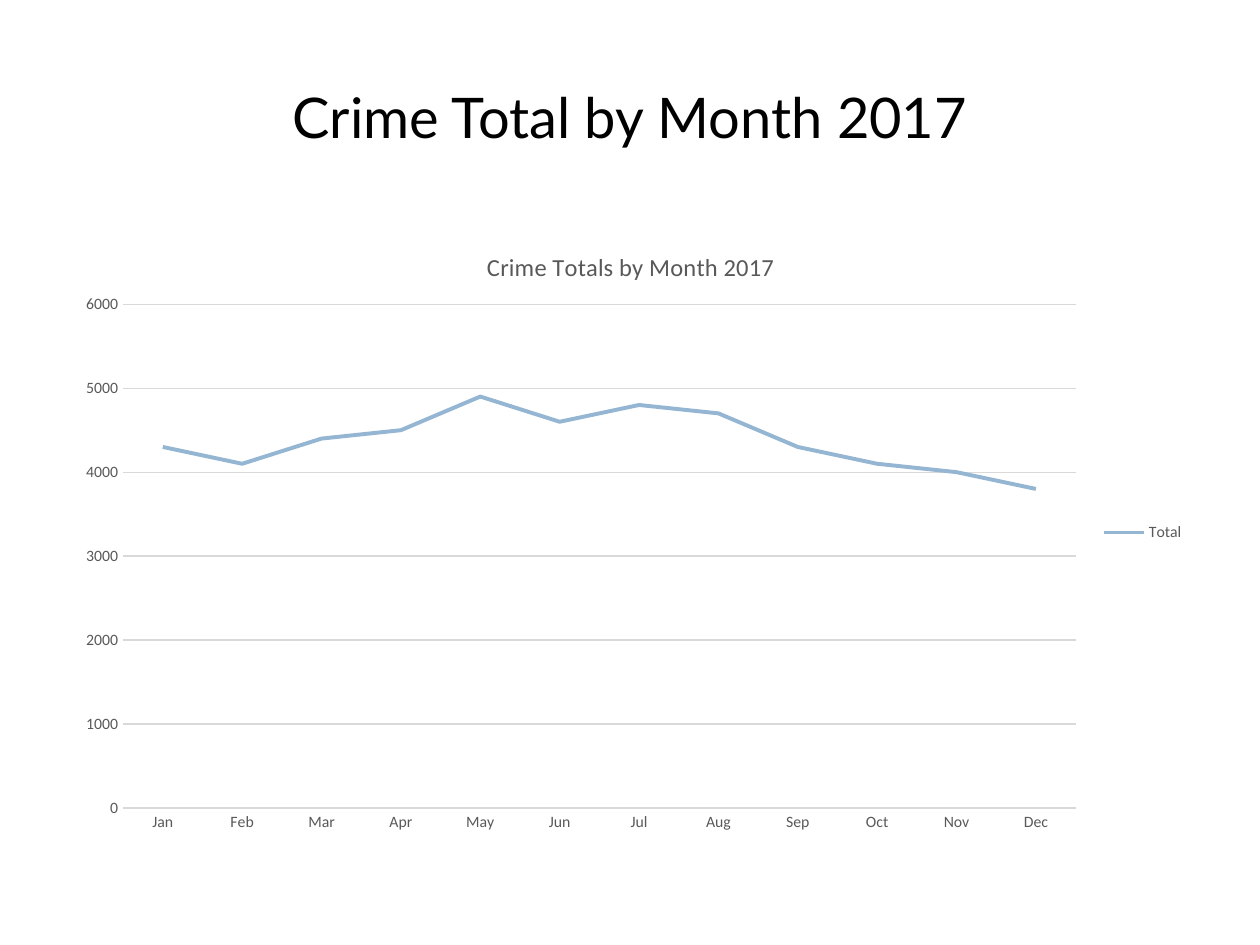
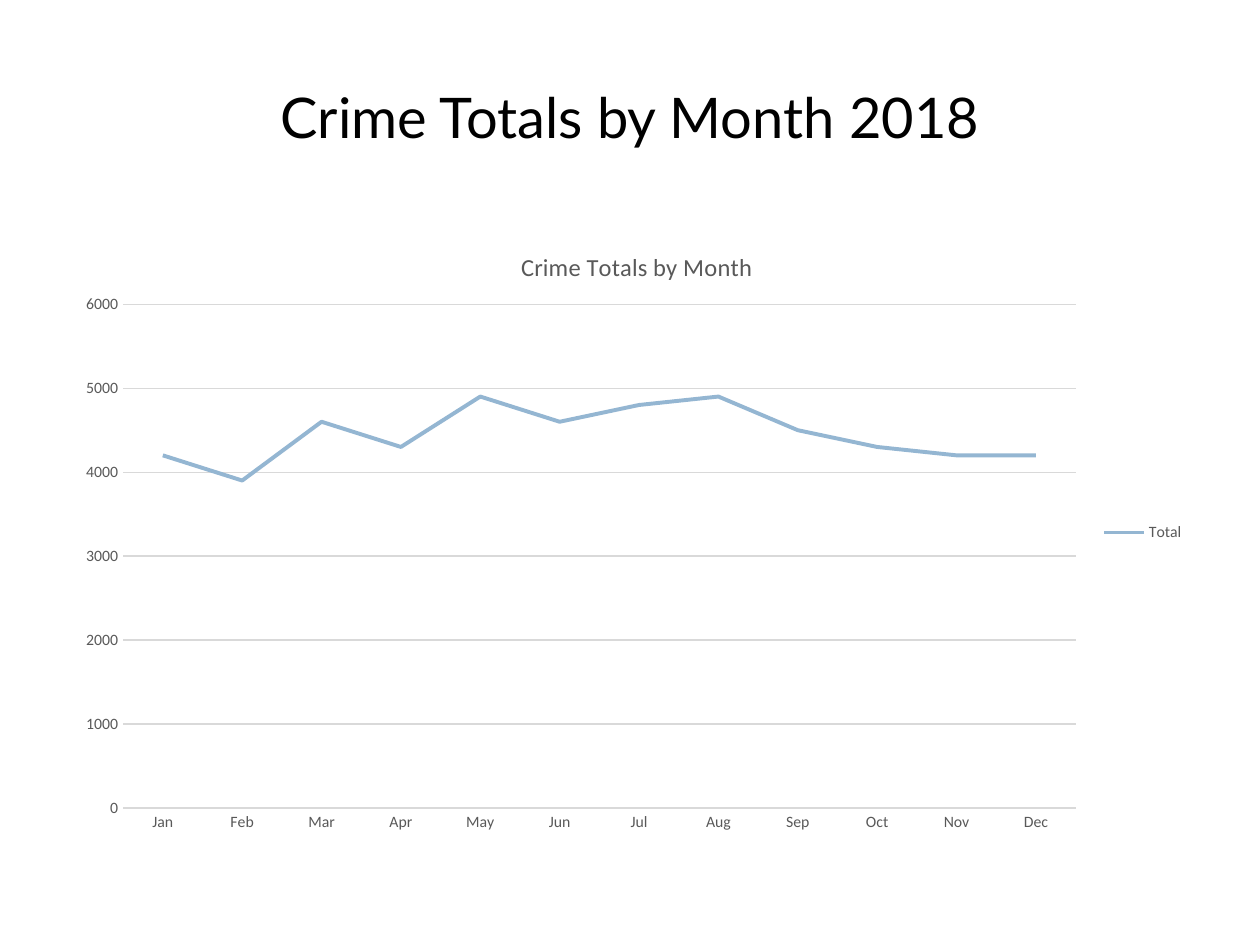
"""Build two slides that chart monthly crime totals for 2017 and 2018."""
import pptx
import pptx.chart.data
import pptx.dml.color
import pptx.enum.chart
import pptx.enum.text
import pptx.oxml
import pptx.oxml.ns
import pptx.util

Cm, Pt = pptx.util.Cm, pptx.util.Pt

MONTHS = ["Jan", "Feb", "Mar", "Apr", "May", "Jun",
          "Jul", "Aug", "Sep", "Oct", "Nov", "Dec"]
YEARS = [
    {"title": "Crime Total by Month 2017",
     "chart_title": "Crime Totals by Month 2017",
     "chart_title_left": 0.37,
     "totals": [4300, 4100, 4400, 4500, 4900, 4600,
                4800, 4700, 4300, 4100, 4000, 3800]},
    {"title": "Crime Totals by Month 2018",
     "chart_title": "Crime Totals by Month",
     "chart_title_left": 0.4,
     "totals": [4200, 3900, 4600, 4300, 4900, 4600,
                4800, 4900, 4500, 4300, 4200, 4200]},
]

THEME = {
    "title": {"name": "Lato", "size": Pt(32), "color": "000000"},
    "chart": {"name": "Calibri", "size": Pt(10), "color": "000000"},
    "chart_title": {"name": "Calibri", "size": Pt(14), "color": "595959", "bold": False},
    "label": {"name": "Calibri", "size": Pt(9), "color": "595959"},
    "grid": {"width": Pt(0.75), "color": "D9D9D9"},
    "series": {"width": Pt(2.25), "color": "94B6D2"},
}

PAGE_WIDTH, PAGE_HEIGHT = Cm(25.4), Cm(19.05)
MARGIN = Cm(1.27)
CONTENT_WIDTH = PAGE_WIDTH - 2 * MARGIN
TITLE_BOX = {"left": MARGIN, "top": Cm(0.76), "width": CONTENT_WIDTH, "height": Cm(3.18)}
CHART_BOX = (MARGIN, Cm(4.45), CONTENT_WIDTH, Cm(12.57))
PLOT_AREA = {"x": 0.053, "y": 0.134, "w": 0.84, "h": 0.808}
CHART_TITLE_TOP = 0.04


def assign(target, values):
    for name, value in values.items():
        setattr(target, name, value)


def style_font(font, style):
    assign(font, {name: value for name, value in style.items() if name != "color"})
    font.color.rgb = pptx.dml.color.RGBColor.from_string(style["color"])


def style_line(line, style):
    line.color.rgb = pptx.dml.color.RGBColor.from_string(style["color"])
    line.width = style["width"]


def place_part(parent, index, fractions):
    """Give a chart part a fixed place, in fractions of the chart."""
    for old in parent.findall(pptx.oxml.ns.qn("c:layout")):
        parent.remove(old)
    target = '<c:layoutTarget val="inner"/>' if "w" in fractions else ""
    modes = "".join(f'<c:{key}Mode val="edge"/>' for key in "xy")
    sizes = "".join(f'<c:{key} val="{value}"/>' for key, value in fractions.items())
    parent.insert(index, pptx.oxml.parse_xml(
        f'<c:layout {pptx.oxml.ns.nsdecls("c")}><c:manualLayout>'
        f'{target}{modes}{sizes}</c:manualLayout></c:layout>'))


def add_title(page, text):
    box = page.shapes.title
    assign(box, TITLE_BOX)
    frame = box.text_frame
    assign(frame, {"vertical_anchor": pptx.enum.text.MSO_ANCHOR.MIDDLE, "word_wrap": True})
    para = frame.paragraphs[0]
    para.alignment = pptx.enum.text.PP_ALIGN.CENTER
    span = para.add_run()
    span.text = text
    style_font(span.font, THEME["title"])


def style_axes(chart):
    for axis in (chart.category_axis, chart.value_axis):
        assign(axis, {"major_tick_mark": pptx.enum.chart.XL_TICK_MARK.NONE,
                      "minor_tick_mark": pptx.enum.chart.XL_TICK_MARK.NONE})
        style_font(axis.tick_labels.font, THEME["label"])
    style_line(chart.category_axis.format.line, THEME["grid"])
    assign(chart.value_axis, {"minimum_scale": 0, "maximum_scale": 6000,
                              "major_unit": 1000, "has_major_gridlines": True})
    chart.value_axis.format.line.fill.background()
    style_line(chart.value_axis.major_gridlines.format.line, THEME["grid"])


def add_chart(page, year):
    data = pptx.chart.data.CategoryChartData()
    data.categories = MONTHS
    data.add_series("Total", year["totals"])
    chart = page.shapes.add_chart(
        pptx.enum.chart.XL_CHART_TYPE.LINE, *CHART_BOX, data).chart
    style_font(chart.font, THEME["chart"])
    assign(chart, {"has_title": True, "has_legend": True})

    para = chart.chart_title.text_frame.paragraphs[0]
    span = para.add_run()
    span.text = year["chart_title"]
    style_font(span.font, THEME["chart_title"])

    assign(chart.legend, {"position": pptx.enum.chart.XL_LEGEND_POSITION.RIGHT,
                          "include_in_layout": False})
    style_font(chart.legend.font, THEME["label"])
    style_axes(chart)

    plot = chart.plots[0]
    plot.vary_by_categories = False
    series = plot.series[0]
    series.smooth = False
    series.marker.style = pptx.enum.chart.XL_MARKER_STYLE.NONE
    style_line(series.format.line, THEME["series"])

    place_part(chart.element.xpath("c:chart/c:title")[0], 1,
               {"x": year["chart_title_left"], "y": CHART_TITLE_TOP})
    place_part(chart.element.xpath("c:chart/c:plotArea")[0], 0, PLOT_AREA)


def main():
    deck = pptx.Presentation()
    assign(deck, {"slide_width": PAGE_WIDTH, "slide_height": PAGE_HEIGHT})
    title_only = deck.slide_layouts.get_by_name("Title Only")
    for year in YEARS:
        page = deck.slides.add_slide(title_only)
        add_title(page, year["title"])
        add_chart(page, year)
    deck.save("out.pptx")


if __name__ == "__main__":
    main()
